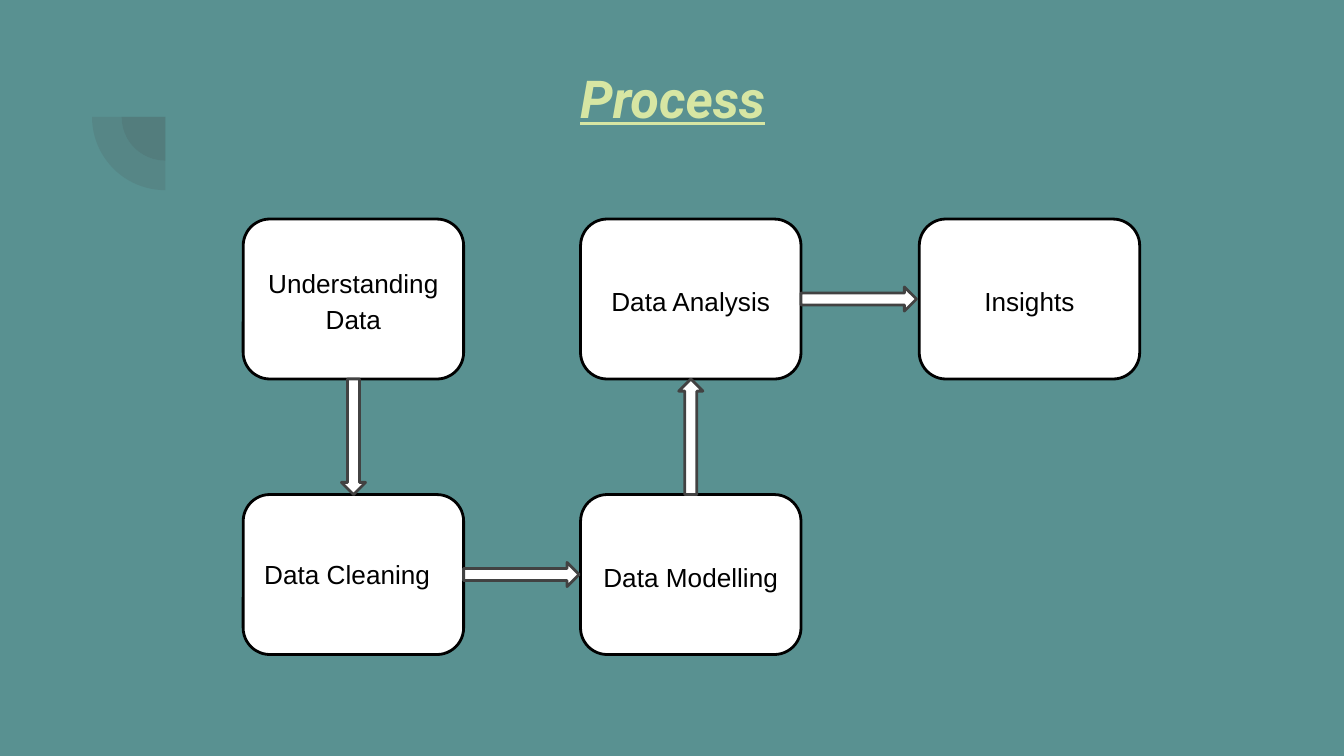
from lxml.etree import SubElement
from pptx import Presentation
from pptx.dml.color import RGBColor
from pptx.enum.shapes import MSO_SHAPE as Shape
from pptx.enum.text import MSO_ANCHOR as Anchor, MSO_AUTO_SIZE as AutoSize, PP_ALIGN as Align
from pptx.oxml.ns import qn
from pptx.util import Inches, Pt

TEAL = RGBColor(0x59, 0x91, 0x91)
LIME = RGBColor(0xD7, 0xE6, 0xA3)
GREY = RGBColor(0x42, 0x42, 0x42)
WHITE = RGBColor(0xFF, 0xFF, 0xFF)
BLACK = RGBColor(0, 0, 0)

COLUMNS = [1.81, 4.32, 6.84]
ROWS = [1.63, 3.68]
BOX_WIDTH, BOX_HEIGHT = 1.64, 1.19
ARROW_LENGTH, ARROW_WIDTH = 0.86, 0.18


class ProcessSlide:
    """Draws the elements of a process diagram on one slide."""

    def __init__(self, slide):
        self.slide = slide
        slide.background.fill.solid()
        slide.background.fill.fore_color.rgb = TEAL

    def add_shape(self, kind, left, top, width, height, fill, line=None):
        shape = self.slide.shapes.add_shape(
            kind, Inches(left), Inches(top), Inches(width), Inches(height))
        shape.shadow.inherit = False
        shape.fill.solid()
        shape.fill.fore_color.rgb = fill
        if line is None:
            shape.line.fill.background()
        else:
            shape.line.color.rgb = line
            shape.line.width = Pt(1.5)
        return shape

    def set_frame(self, shape, anchor):
        frame = shape.text_frame
        frame.word_wrap = True
        frame.auto_size = AutoSize.NONE
        frame.vertical_anchor = anchor
        frame.margin_left = frame.margin_right = Inches(0.1)
        frame.margin_top = frame.margin_bottom = Inches(0.1)
        return frame

    def add_title(self, text):
        title = self.slide.shapes.title
        title.left, title.top = Inches(1.16), Inches(0.39)
        title.width, title.height = Inches(7.69), Inches(1.35)
        frame = self.set_frame(title, Anchor.TOP)
        frame.text = text
        paragraph = frame.paragraphs[0]
        paragraph.alignment = Align.CENTER
        font = paragraph.font
        font.name, font.size = "Roboto", Pt(28)
        font.bold = font.italic = font.underline = True
        font.color.rgb = LIME

    def add_quarter(self, center_x, center_y, size):
        quarter = self.add_shape(Shape.PIE, center_x - size / 2,
                                 center_y - size / 2, size, size, GREY)
        quarter.adjustments[0] = 108
        quarter.adjustments[1] = 162
        quarter.rotation = 270
        color = quarter.fill._xPr.find(qn("a:solidFill"))[0]
        SubElement(color, qn("a:alpha"), val="13000")

    def add_step(self, text, column, row, align=Align.CENTER, spacing=1.15):
        box = self.add_shape(Shape.ROUNDED_RECTANGLE, COLUMNS[column], ROWS[row],
                             BOX_WIDTH, BOX_HEIGHT, WHITE, BLACK)
        frame = self.set_frame(box, Anchor.MIDDLE)
        frame.text = text
        paragraph = frame.paragraphs[0]
        paragraph.alignment = align
        paragraph.line_spacing = spacing
        paragraph.font.name, paragraph.font.size = "Arial", Pt(14)
        paragraph.font.color.rgb = BLACK

    def add_arrow(self, center_x, center_y, rotation=0):
        arrow = self.add_shape(
            Shape.RIGHT_ARROW, center_x - ARROW_LENGTH / 2,
            center_y - ARROW_WIDTH / 2, ARROW_LENGTH, ARROW_WIDTH, WHITE, GREY)
        arrow.rotation = rotation

    def add_arrow_across(self, column, row):
        self.add_arrow(COLUMNS[column] + BOX_WIDTH + ARROW_LENGTH / 2,
                       ROWS[row] + BOX_HEIGHT / 2)

    def add_arrow_between_rows(self, column, rotation):
        self.add_arrow(COLUMNS[column] + BOX_WIDTH / 2,
                       (ROWS[0] + BOX_HEIGHT + ROWS[1]) / 2, rotation)


presentation = Presentation()
presentation.slide_width = Inches(10)
presentation.slide_height = Inches(10 * 9 / 16)
process = ProcessSlide(presentation.slides.add_slide(presentation.slide_layouts[5]))

for size in (0.65, 1.09):
    process.add_quarter(1.23, 0.87, size)
process.add_title("Process")

process.add_step("Understanding Data", 0, 0)
process.add_step("Data Cleaning", 0, 1, Align.LEFT, 1.0)
process.add_step("Data Modelling", 1, 1)
process.add_step("Insights", 2, 0)
process.add_step("Data Analysis", 1, 0)

process.add_arrow_between_rows(0, 90)
process.add_arrow_across(0, 1)
process.add_arrow_between_rows(1, 270)
process.add_arrow_across(1, 0)

presentation.save("out.pptx")
